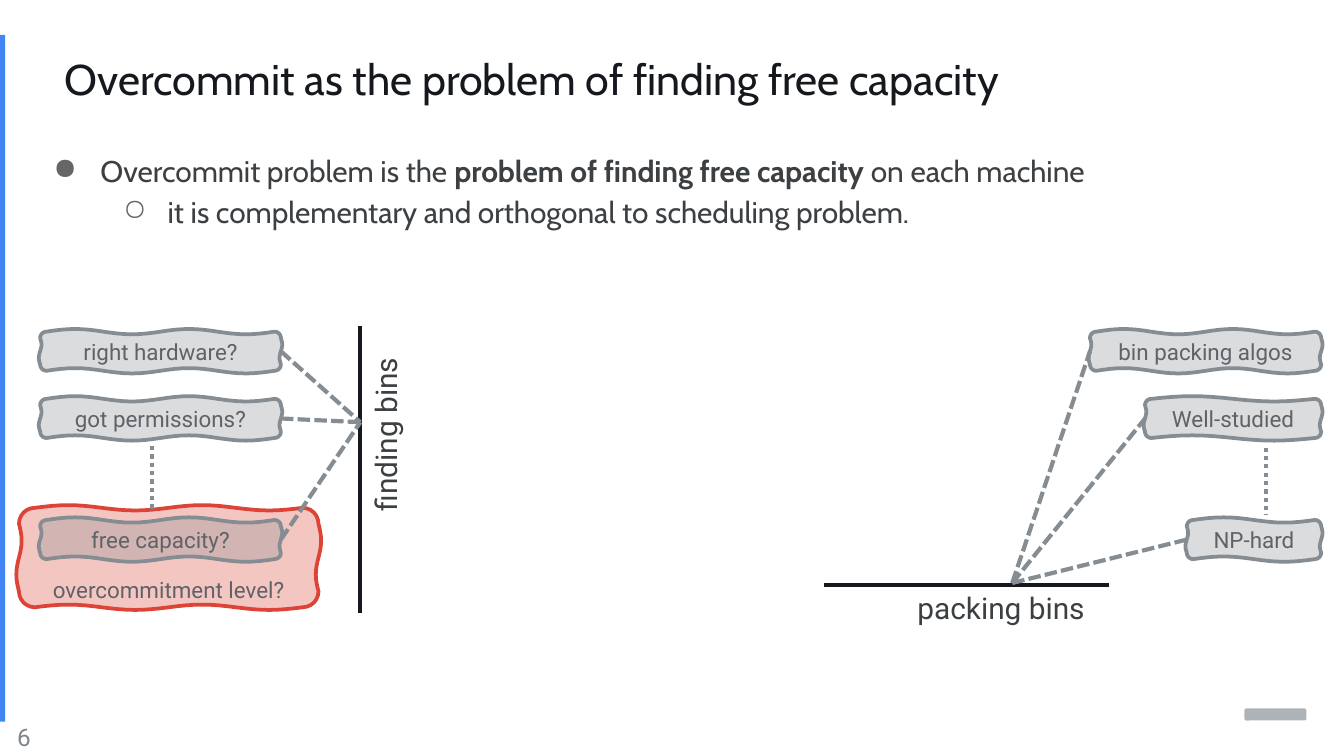
import math

import pptx
import pptx.dml.color
import pptx.enum.dml
import pptx.enum.shapes
import pptx.enum.text
import pptx.oxml
import pptx.oxml.ns
import pptx.util
from lxml import etree

Cm = pptx.util.Cm
Pt = pptx.util.Pt
RGBColor = pptx.dml.color.RGBColor
ALIGN = pptx.enum.text.PP_ALIGN
ANCHOR = pptx.enum.text.MSO_ANCHOR
SHAPE = pptx.enum.shapes.MSO_SHAPE
DASH = pptx.enum.dml.MSO_LINE.SQUARE_DOT
DOT = pptx.enum.dml.MSO_LINE.ROUND_DOT

BLUE = RGBColor(0x42, 0x85, 0xF4)
RED = RGBColor(0xDB, 0x44, 0x37)
INK = RGBColor(0x15, 0x19, 0x1D)
BODY = RGBColor(0x3C, 0x40, 0x43)
LABEL = RGBColor(0x5F, 0x63, 0x68)
BULLET = RGBColor(0x66, 0x66, 0x66)
NUMBER = RGBColor(0x80, 0x86, 0x8B)
GRAY = RGBColor(0x86, 0x8D, 0x92)
LIGHT_GRAY = RGBColor(0xAE, 0xB3, 0xB7)


def add_xml(parent, tag, **attributes):
    return etree.SubElement(parent, pptx.oxml.ns.qn(tag), **attributes)


class Sketch:
    """Holds the style and the current slide; lengths are in centimetres."""

    heading_font = "Cabin"
    label_font = "Roboto"
    inset = 0.25
    wave_height = 0.05
    wave_length = 2.3

    def __init__(self, slide):
        self.slide = slide

    def add_text(self, paragraph, text, size, color, font, bold=False):
        run = paragraph.add_run()
        run.text = text
        run.font.size = Pt(size)
        run.font.name = font
        run.font.bold = bold
        run.font.color.rgb = color

    def prepare(self, frame, anchor=ANCHOR.TOP):
        frame.word_wrap = True
        frame.auto_size = pptx.enum.text.MSO_AUTO_SIZE.NONE
        frame.vertical_anchor = anchor
        frame.margin_left = frame.margin_right = Cm(self.inset)
        frame.margin_top = frame.margin_bottom = Cm(self.inset)
        return frame

    def title(self, text, left, top, width, height):
        shape = self.slide.shapes.title
        shape.left, shape.top = Cm(left), Cm(top)
        shape.width, shape.height = Cm(width), Cm(height)
        paragraph = self.prepare(shape.text_frame).paragraphs[0]
        paragraph.alignment = ALIGN.LEFT
        self.add_text(paragraph, text, 23, INK, self.heading_font)

    def text_box(self, left, top, width, height):
        box = self.slide.shapes.add_textbox(Cm(left), Cm(top), Cm(width), Cm(height))
        self.prepare(box.text_frame)
        return box

    def caption(self, text, left, top, width, height, size=16, color=BODY,
                align=ALIGN.LEFT, rotation=0):
        box = self.text_box(left, top, width, height)
        box.text_frame.margin_top = box.text_frame.margin_bottom = Cm(0.13)
        box.rotation = rotation
        paragraph = box.text_frame.paragraphs[0]
        paragraph.alignment = align
        self.add_text(paragraph, text, size, color, self.label_font)

    def bullets(self, items, left, top, width, height):
        frame = self.text_box(left, top, width, height).text_frame
        for index, (symbol, margin, hanging, runs) in enumerate(items):
            paragraph = frame.add_paragraph() if index else frame.paragraphs[0]
            paragraph.level = index
            paragraph.line_spacing = 1.15
            properties = paragraph._p.get_or_add_pPr()
            properties.set("marL", str(Cm(margin)))
            properties.set("indent", str(-Cm(hanging)))
            add_xml(add_xml(properties, "a:buClr"), "a:srgbClr", val=str(BULLET))
            add_xml(properties, "a:buChar", char=symbol)
            for text, bold in runs:
                self.add_text(paragraph, text, 16, BODY, self.heading_font, bold)

    def block(self, kind, color, left, top, width, height):
        shape = self.slide.shapes.add_shape(
            kind, Cm(left), Cm(top), Cm(width), Cm(height))
        shape.shadow.inherit = False
        shape.fill.solid()
        shape.fill.fore_color.rgb = color
        shape.line.fill.background()

    def wavy_outline(self, left, top, width, height, radius):
        right, bottom = left + width - radius, top + height - radius
        left, top = left + radius, top + radius
        centers = [(right, top), (right, bottom), (left, bottom), (left, top)]
        points = []
        for index, (x, y) in enumerate(centers):
            # Rounded corner
            for step in range(7):
                angle = math.radians(90 * (index - 1) + 15 * step)
                points.append((x + radius * math.cos(angle), y + radius * math.sin(angle)))
            # Rippled edge to the next corner
            next_x, next_y = centers[(index + 1) % 4]
            length = math.dist((x, y), (next_x, next_y))
            waves = max(1, round(length / self.wave_length))
            ripple = min(self.wave_height, 0.05 * length)
            steps = 16 * waves
            for step in range(1, steps):
                part = step / steps
                offset = radius + ripple * math.sin(2 * math.pi * waves * part)
                points.append((x + (next_x - x) * part + offset * math.cos(angle),
                               y + (next_y - y) * part + offset * math.sin(angle)))
        return [(Cm(x), Cm(y)) for x, y in points]

    def wavy_box(self, text, left, top, width, height, color=GRAY, radius=0.12,
                 anchor=ANCHOR.MIDDLE):
        start, *others = self.wavy_outline(left, top, width, height, radius)
        builder = self.slide.shapes.build_freeform(*start)
        builder.add_line_segments(others, close=True)
        shape = builder.convert_to_shape()
        shape.shadow.inherit = False
        shape.fill.solid()
        shape.fill.fore_color.rgb = color
        fill_color = shape._element.spPr.find(".//" + pptx.oxml.ns.qn("a:srgbClr"))
        add_xml(fill_color, "a:alpha", val="30000")
        shape.line.color.rgb = color
        shape.line.width = Pt(2)
        frame = self.prepare(shape.text_frame, anchor)
        frame.margin_top = frame.margin_bottom = Cm(0.13)
        paragraph = frame.paragraphs[0]
        paragraph.alignment = ALIGN.CENTER
        self.add_text(paragraph, text, 12, LABEL, self.label_font)

    def line(self, start, end, color=GRAY, dash=None):
        connector = self.slide.shapes.add_connector(
            pptx.enum.shapes.MSO_CONNECTOR.STRAIGHT,
            Cm(start[0]), Cm(start[1]), Cm(end[0]), Cm(end[1]))
        connector.line.color.rgb = color
        connector.line.width = Pt(2.25)
        if dash is not None:
            connector.line.dash_style = dash
        add_xml(connector._element.spPr, "a:effectLst")


def main():
    presentation = pptx.Presentation()
    presentation.slide_width, presentation.slide_height = Cm(25.4), Cm(14.29)
    sketch = Sketch(presentation.slides.add_slide(presentation.slide_layouts[5]))

    # Frame: side bar, corner mark, title, page number
    sketch.block(SHAPE.RECTANGLE, BLUE, -0.05, 0.66, 0.15, 12.98)
    sketch.block(SHAPE.ROUNDED_RECTANGLE, LIGHT_GRAY, 23.52, 13.39, 1.17, 0.23)
    sketch.title("Overcommit as the problem of finding free capacity", 0.97, 0.74, 21.67, 1.14)
    sketch.caption("6", -0.69, 13.53, 1.52, 0.76, size=13, color=NUMBER, align=ALIGN.RIGHT)

    # Statement
    sketch.bullets([
        ("●", 1.27, 0.89, [("Overcommit problem is the ", False),
                           ("problem of finding free capacity ", True),
                           ("on each machine", False)]),
        ("○", 2.54, 0.84, [("it is complementary and orthogonal to scheduling problem.", False)]),
    ], 0.38, 2.54, 22.05, 3.35)

    # Rows shared by both diagrams
    box_height = 0.74
    row_tops = [6.27, 7.54, 9.83]

    # Finding bins
    sketch.wavy_box("overcommitment level?", 0.36, 9.6, 5.66, 1.88, RED, 0.3, ANCHOR.BOTTOM)
    sketch.line((6.81, 6.17), (6.81, 11.58), INK)
    sketch.caption("finding bins", 5.36, 7.52, 3.84, 0.94, rotation=270)
    left, width = 0.76, 4.55
    for text, top in zip(["right hardware?", "got permissions?", "free capacity?"], row_tops):
        sketch.wavy_box(text, left, top, width, box_height)
        sketch.line((left + width, top + box_height / 2), (6.81, 7.98), dash=DASH)
    sketch.line((2.87, 8.43), (2.87, 9.68), dash=DOT)

    # Packing bins
    sketch.line((15.57, 11.05), (20.96, 11.05), INK)
    sketch.caption("packing bins", 17.09, 11.02, 4.04, 0.94)
    right = 24.97
    labels = [("bin packing algos", 4.37), ("Well-studied", 3.33), ("NP-hard", 2.54)]
    for (text, width), top in zip(labels, row_tops):
        sketch.wavy_box(text, right - width, top, width, box_height)
        sketch.line((19.13, 11.02), (right - width, top + box_height / 2), dash=DASH)
    sketch.line((23.93, 8.46), (23.93, 9.73), dash=DOT)

    presentation.save("out.pptx")


if __name__ == "__main__":
    main()
